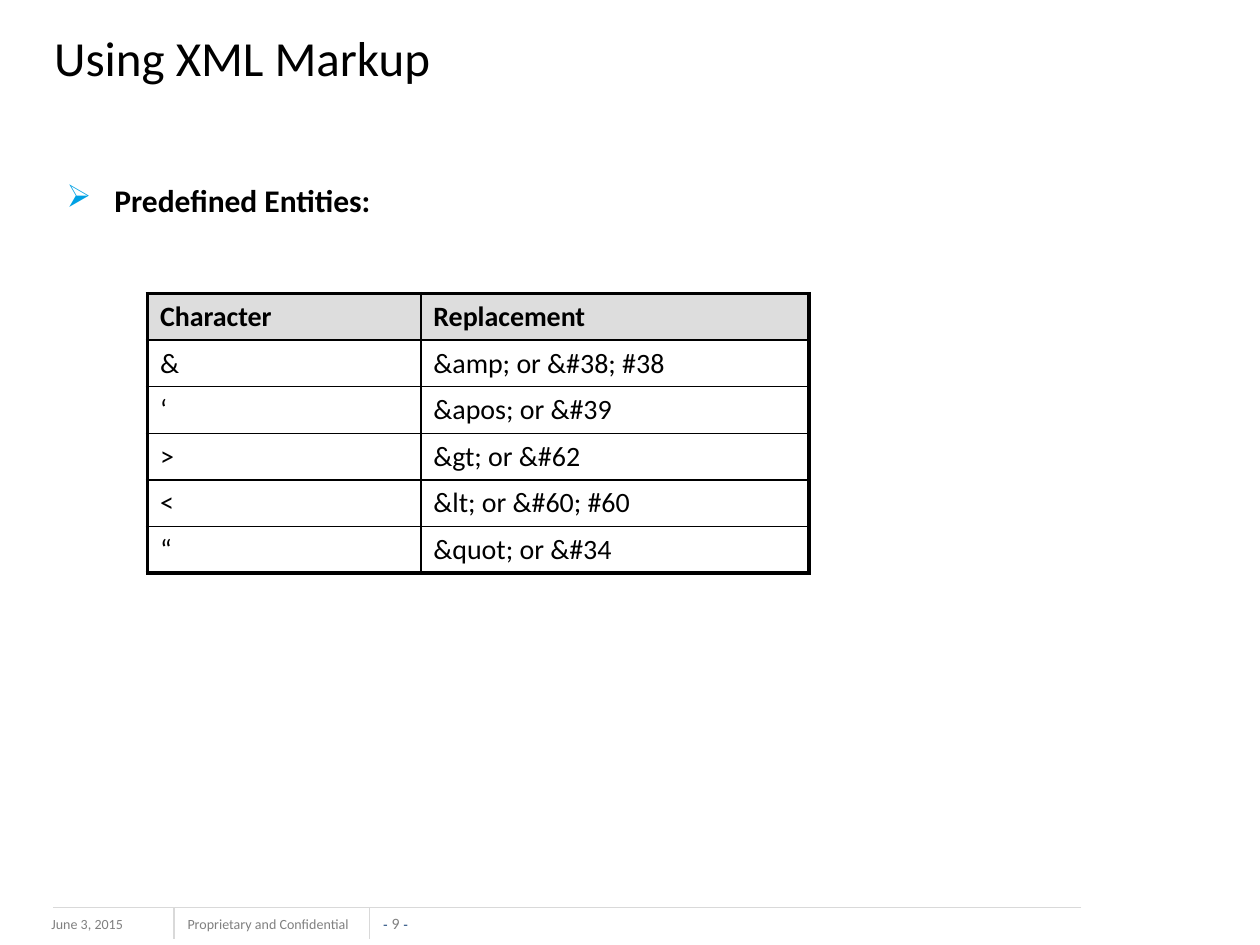
from dataclasses import dataclass

from lxml import etree
from pptx import Presentation
from pptx.dml.color import RGBColor
from pptx.enum import shapes, text
from pptx.oxml import ns
from pptx.util import Inches, Pt


@dataclass(frozen=True)
class Theme:
    font: str = "Calibri"
    number_font: str = "Arial"
    ink: str = "000000"
    muted: str = "808080"
    navy: str = "1F497D"
    rule: str = "D9D9D9"
    bullet: str = "00A1E4"
    header: str = "DDDDDD"
    paper: str = "FFFFFF"
    title_size: float = 28
    body_size: float = 18
    table_size: float = 16
    footer_size: float = 8
    page_size: float = 9
    thin: float = 1
    thick: float = 2.25
    hairline: float = 0.75


@dataclass(frozen=True)
class Label:
    words: str
    left: float
    top: float
    width: float
    height: float
    wrap: bool = True


@dataclass(frozen=True)
class Rule:
    x1: float
    y1: float
    x2: float
    y2: float


THEME = Theme()
FOOTERS = [
    Label("June 3, 2015", 0.31, 7.22, 1.33, 0.25),
    Label("Proprietary and Confidential", 1.39, 7.22, 1.57, 0.24, wrap=False),
]
RULES = [
    Rule(8.58, 7.2, 0.42, 7.2),
    Rule(1.38, 7.2, 1.38, 7.45),
    Rule(2.93, 7.2, 2.93, 7.45),
]
ENTITIES = [
    ("Character", "Replacement"),
    ("&", "&amp; or &#38; #38"),
    ("‘", "&apos; or &#39"),
    (">", "&gt; or &#62"),
    ("<", "&lt; or &#60; #60"),
    ("“", "&quot; or &#34"),
]
COLUMN_WIDTHS = (2.17, 3.08)
ROW_HEIGHT = 0.37


def write(paragraph, words: str, *, size: float, color: str = THEME.ink,
          font: str = THEME.font, bold: bool = False,
          align=text.PP_ALIGN.LEFT) -> None:
    paragraph.alignment = align
    run = paragraph.add_run()
    run.text = words
    run.font.name = font
    run.font.size = Pt(size)
    run.font.bold = bold
    run.font.color.rgb = RGBColor.from_string(color)


def add_box(slide, label: Label):
    box = slide.shapes.add_textbox(Inches(label.left), Inches(label.top),
                                   Inches(label.width), Inches(label.height))
    box.text_frame.word_wrap = label.wrap
    return box.text_frame


def add_rule(slide, rule: Rule) -> None:
    line = slide.shapes.add_connector(
        shapes.MSO_CONNECTOR.STRAIGHT, Inches(rule.x1), Inches(rule.y1),
        Inches(rule.x2), Inches(rule.y2))
    line.line.color.rgb = RGBColor.from_string(THEME.rule)
    line.line.width = Pt(THEME.hairline)
    etree.SubElement(line._element.spPr, ns.qn("a:effectLst"))


def add_bullet(paragraph, mark: str, color: str, indent: float) -> None:
    properties = paragraph._p.get_or_add_pPr()
    properties.set("marL", str(Inches(indent)))
    properties.set("indent", str(-Inches(indent)))
    tint = etree.SubElement(properties, ns.qn("a:buClr"))
    etree.SubElement(tint, ns.qn("a:srgbClr"), val=color)
    etree.SubElement(properties, ns.qn("a:buChar"), char=mark)


def set_borders(cell, widths: dict[str, float]) -> None:
    properties = cell._tc.get_or_add_tcPr()
    for position, (side, width) in enumerate(widths.items()):
        edge = etree.Element(ns.qn(f"a:ln{side}"), w=str(Pt(width)))
        fill = etree.SubElement(edge, ns.qn("a:solidFill"))
        etree.SubElement(fill, ns.qn("a:srgbClr"), val=THEME.ink)
        properties.insert(position, edge)


def add_entity_table(slide) -> None:
    last_row, last_column = len(ENTITIES) - 1, len(COLUMN_WIDTHS) - 1
    table = slide.shapes.add_table(
        len(ENTITIES), len(COLUMN_WIDTHS), Inches(1.17), Inches(2.33),
        Inches(sum(COLUMN_WIDTHS)), Inches(ROW_HEIGHT * len(ENTITIES))).table
    table.first_row = table.horz_banding = False
    for column, width in zip(table.columns, COLUMN_WIDTHS):
        column.width = Inches(width)
    for r, entity in enumerate(ENTITIES):
        table.rows[r].height = Inches(ROW_HEIGHT)
        for c, words in enumerate(entity):
            cell = table.cell(r, c)
            cell.fill.solid()
            cell.fill.fore_color.rgb = RGBColor.from_string(
                THEME.header if r == 0 else THEME.paper)
            outer = {"L": c == 0, "R": c == last_column,
                     "T": r == 0, "B": r == last_row}
            set_borders(cell, {side: THEME.thick if edge else THEME.thin
                               for side, edge in outer.items()})
            write(cell.text_frame.paragraphs[0], words,
                  size=THEME.table_size, bold=r == 0)


def add_footer(slide) -> None:
    for label in FOOTERS:
        write(add_box(slide, label).paragraphs[0], label.words,
              size=THEME.footer_size, color=THEME.muted)
    page = add_box(slide, Label("9", 3.01, 7.25, 0.26, 0.15, wrap=False))
    page.margin_left = page.margin_right = 0
    page.margin_top = page.margin_bottom = 0
    page.vertical_anchor = text.MSO_ANCHOR.BOTTOM
    for words, size, color, font in (
        ("- ", THEME.footer_size, THEME.navy, THEME.number_font),
        ("9 ", THEME.page_size, THEME.muted, THEME.font),
        ("-", THEME.footer_size, THEME.navy, THEME.number_font),
    ):
        write(page.paragraphs[0], words, size=size, color=color, font=font,
              align=text.PP_ALIGN.CENTER)
    for rule in RULES:
        add_rule(slide, rule)


def main() -> None:
    deck = Presentation()
    deck.slide_width, deck.slide_height = Inches(10), Inches(7.5)
    slide = deck.slides.add_slide(deck.slide_layouts.get_by_name("Title Only"))
    add_footer(slide)

    title = slide.shapes.title
    title.left, title.top = Inches(0.33), Inches(0.02)
    title.width, title.height = Inches(9), Inches(0.87)
    title.text_frame.vertical_anchor = text.MSO_ANCHOR.MIDDLE
    write(title.text_frame.paragraphs[0], "Using XML Markup",
          size=THEME.title_size)

    heading = Label("Predefined Entities:", 0.43, 1.39, 9, 4.95)
    paragraph = add_box(slide, heading).paragraphs[0]
    add_bullet(paragraph, "➢", THEME.bullet, 0.38)
    write(paragraph, heading.words, size=THEME.body_size, bold=True)

    add_entity_table(slide)
    deck.save("out.pptx")


if __name__ == "__main__":
    main()
